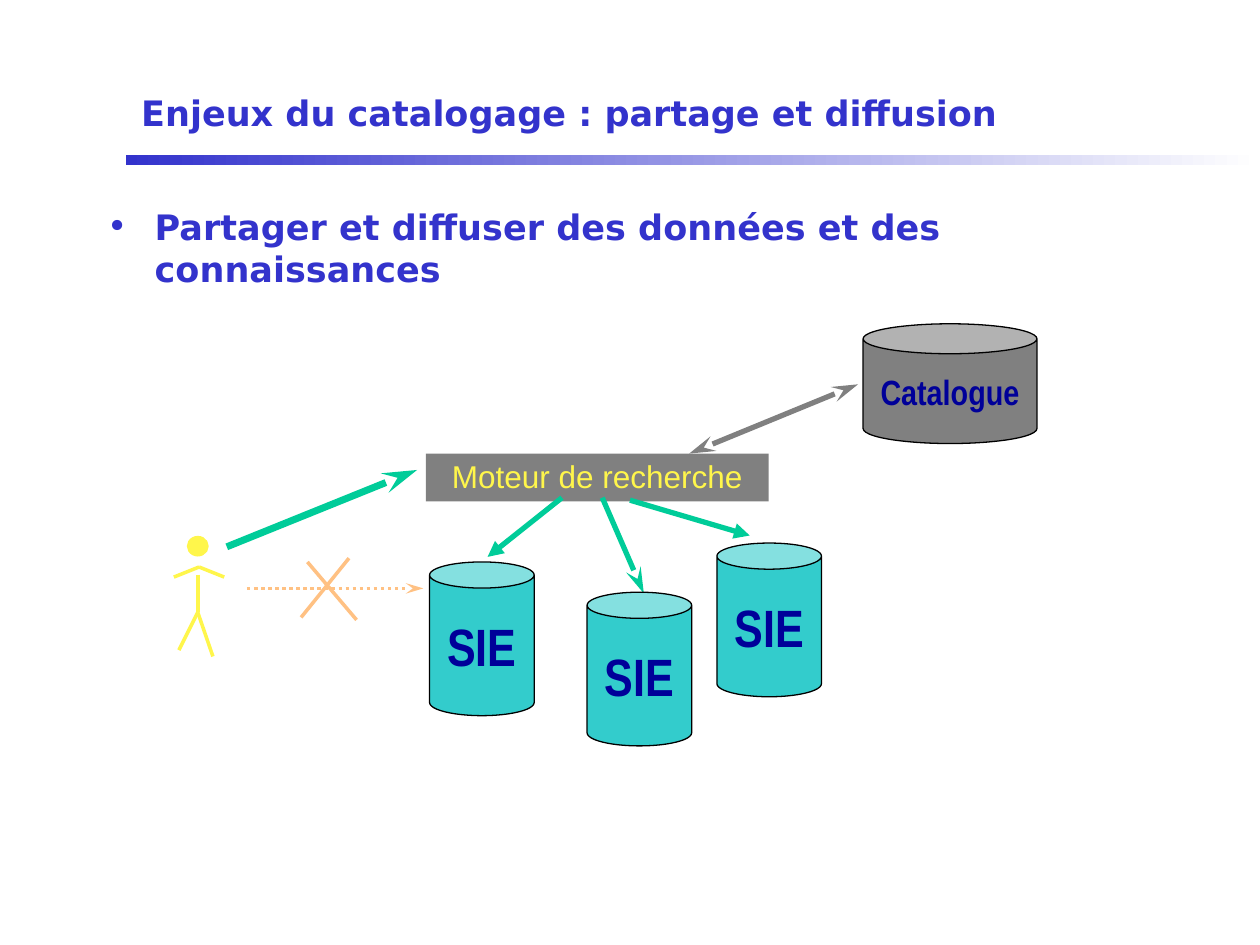
from lxml.etree import SubElement
from pptx import Presentation
from pptx.dml.color import RGBColor
from pptx.enum.dml import MSO_LINE_DASH_STYLE as Dash
from pptx.enum.shapes import MSO_CONNECTOR as Connector, MSO_SHAPE as Preset
from pptx.enum.text import MSO_ANCHOR as Anchor, PP_ALIGN as Align
from pptx.oxml.ns import qn
from pptx.util import Inches, Pt

BLUE = RGBColor(0x33, 0x33, 0xCC)
NAVY = RGBColor(0x00, 0x00, 0x99)
TURQUOISE = RGBColor(0x33, 0xCC, 0xCC)
GREEN = RGBColor(0x00, 0xCC, 0x99)
YELLOW = RGBColor(0xFF, 0xF6, 0x4B)
ORANGE = RGBColor(0xFF, 0xC1, 0x83)
GRAY = RGBColor(0x80, 0x80, 0x80)
BLACK = RGBColor(0x00, 0x00, 0x00)
WHITE = RGBColor(0xFF, 0xFF, 0xFF)


class SlideBuilder:
    heading_font = "DejaVu Sans"
    engine_font = "Arial"
    store_font = "Arial Narrow"
    arrow_lengths = {"stealth": "lg", "triangle": "med"}

    def __init__(self, slide):
        self.slide = slide

    def add_text(self, shape, text, size, font, color, bold=True, align=Align.LEFT,
                 anchor=Anchor.MIDDLE, margins=(0.14, 0.13), wrap=True):
        frame = shape.text_frame
        frame.word_wrap = wrap
        frame.vertical_anchor = anchor
        frame.margin_left = frame.margin_right = Inches(margins[0])
        frame.margin_top = frame.margin_bottom = Inches(margins[1])
        paragraph = frame.paragraphs[0]
        paragraph.alignment = align
        run = paragraph.add_run()
        run.text = text
        run.font.size = Pt(size)
        run.font.name = font
        run.font.bold = bold
        run.font.color.rgb = color
        return paragraph

    def place(self, shape, left, top, width, height):
        shape.left, shape.top = Inches(left), Inches(top)
        shape.width, shape.height = Inches(width), Inches(height)

    def title(self, text, *box):
        title = self.slide.shapes.title
        self.place(title, *box)
        self.add_text(title, text, 20, self.heading_font, BLUE)

    def bullet(self, text, *box):
        text_box = self.slide.shapes.add_textbox(*map(Inches, box))
        paragraph = self.add_text(text_box, text, 20, self.heading_font, BLUE,
                                  anchor=Anchor.TOP, margins=(0.1, 0.05))
        properties = paragraph._p.get_or_add_pPr()
        properties.set("marL", str(Inches(0.38)))
        properties.set("indent", str(-Inches(0.38)))
        color = SubElement(properties, qn("a:buClr"))
        SubElement(color, qn("a:srgbClr"), val=str(BLUE))
        SubElement(properties, qn("a:buFont"), typeface=self.heading_font)
        SubElement(properties, qn("a:buChar"), char="•")

    def shape(self, preset, *box, fill=None, line=None, line_width=0.75):
        shape = self.slide.shapes.add_shape(preset, *map(Inches, box))
        shape.shadow.inherit = False
        if fill is not None:
            shape.fill.solid()
            shape.fill.fore_color.rgb = fill
        if line is None:
            shape.line.fill.background()
        else:
            shape.line.color.rgb = line
            shape.line.width = Pt(line_width)
        return shape

    def gradient_bar(self, *box):
        bar = self.shape(Preset.RECTANGLE, *box)
        bar.fill.gradient()
        bar.fill.gradient_angle = 0
        for stop, color, position in zip(bar.fill.gradient_stops, (BLUE, WHITE), (0, 1)):
            stop.color.rgb = color
            stop.position = position

    def engine(self, text, *box):
        engine = self.shape(Preset.RECTANGLE, *box, fill=GRAY)
        paragraph = self.add_text(engine, text, 18, self.engine_font, YELLOW, bold=False,
                                  align=Align.CENTER, margins=(0.09, 0.05))
        paragraph.line_spacing = 0.97

    def store(self, text, size, fill, *box):
        store = self.shape(Preset.CAN, *box, fill=fill, line=BLACK)
        store.adjustments[0] = 0.25
        self.add_text(store, text, size, self.store_font, NAVY, align=Align.CENTER, wrap=False)

    def line(self, start, end, color, width=2, head=None, tail=None, dash=None):
        line = self.slide.shapes.add_connector(
            Connector.STRAIGHT, *map(Inches, (*start, *end)))
        line.line.color.rgb = color
        line.line.width = Pt(width)
        if dash is not None:
            line.line.dash_style = dash
        outline = line.line._get_or_add_ln()
        for tag, arrow in (("a:headEnd", head), ("a:tailEnd", tail)):
            if arrow:
                SubElement(outline, qn(tag), type=arrow, w="med",
                           len=self.arrow_lengths[arrow])
        SubElement(line._element.spPr, qn("a:effectLst"))

    def person(self):
        neck, left_hand, right_hand = (1.58, 4.5), (1.38, 4.58), (1.78, 4.58)
        hip = (1.57, 4.86)
        limbs = ((neck, left_hand), (right_hand, neck), ((1.57, 4.56), hip),
                 ((1.69, 5.21), hip), (hip, (1.42, 5.16)))
        for start, end in limbs:
            self.line(start, end, YELLOW)
        self.shape(Preset.OVAL, 1.49, 4.26, 0.16, 0.15, fill=YELLOW, line=YELLOW, line_width=1)


def main():
    presentation = Presentation()
    presentation.slide_width, presentation.slide_height = Inches(10), Inches(7.5)
    builder = SlideBuilder(presentation.slides.add_slide(presentation.slide_layouts[5]))

    builder.gradient_bar(1, 1.23, 9, 0.08)
    builder.title("Enjeux du catalogage : partage et diffusion", 0.98, 0.6, 8.03, 0.59)
    builder.bullet("Partager et diffuser des données et des connaissances", 0.75, 1.58, 8.5, 4.92)

    builder.person()
    builder.engine("Moteur de recherche", 3.38, 3.6, 2.72, 0.38)
    builder.line((1.8, 4.34), (3.31, 3.73), GREEN, 4, tail="stealth")

    builder.line((2.44, 4.46), (2.83, 4.92), ORANGE)
    builder.line((1.96, 4.67), (3.36, 4.67), ORANGE, tail="stealth", dash=Dash.ROUND_DOT)
    builder.line((2.77, 4.43), (2.39, 4.9), ORANGE)

    for start, end, arrow in (((4.46, 3.95), (3.87, 4.42), "triangle"),
                              ((5, 3.97), (5.95, 4.25), "triangle"),
                              ((4.78, 3.95), (5.11, 4.71), "stealth")):
        builder.line(start, end, GREEN, 3, tail=arrow)

    for left, top in ((3.41, 4.46), (4.66, 4.7), (5.69, 4.31)):
        builder.store("SIE", 30, TURQUOISE, left, top, 0.83, 1.22)
    builder.store("Catalogue", 20, GRAY, 6.85, 2.57, 1.38, 0.95)
    builder.line((5.47, 3.6), (6.81, 3.05), GRAY, 3, head="stealth", tail="stealth")

    presentation.save("out.pptx")


if __name__ == "__main__":
    main()
